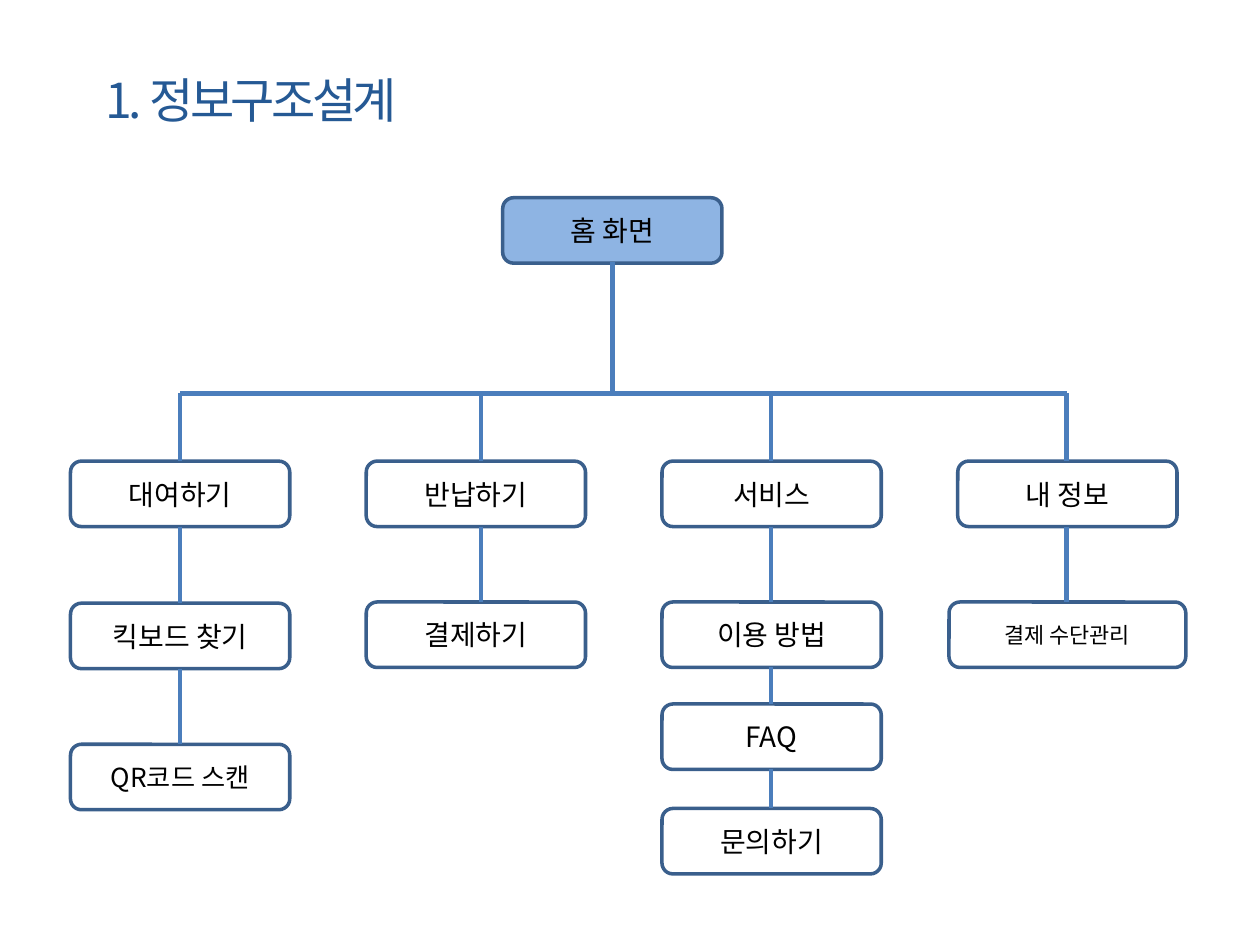
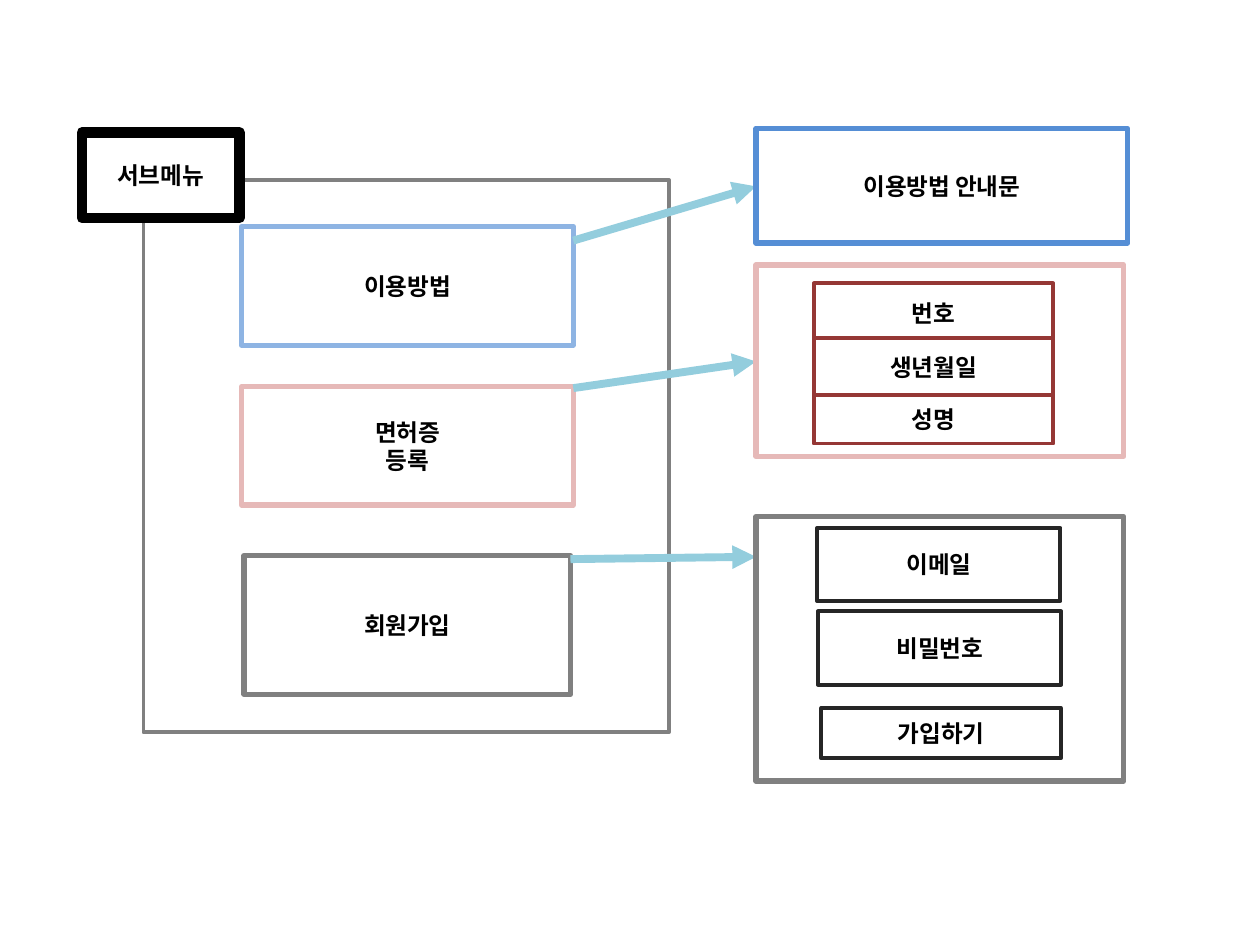
from lxml.etree import SubElement
from pptx import Presentation
from pptx.dml.color import RGBColor
from pptx.enum.shapes import MSO_CONNECTOR as Link, MSO_SHAPE as Form
from pptx.enum.text import MSO_ANCHOR as Anchor, PP_ALIGN as Align
from pptx.oxml.ns import qn
from pptx.util import Pt

FONT = "Noto Sans CJK KR"
WHITE = RGBColor(0xFF, 0xFF, 0xFF)
BLACK = RGBColor(0, 0, 0)
TITLE = RGBColor(0x25, 0x59, 0x94)
SKY = RGBColor(0x8E, 0xB4, 0xE3)
NAVY = RGBColor(0x3A, 0x5F, 0x8C)
WIRE = RGBColor(0x4B, 0x7E, 0xBC)
GRAY = RGBColor(0x80, 0x80, 0x80)
PINK = RGBColor(0xE6, 0xB9, 0xB8)
AQUA = RGBColor(0x93, 0xCD, 0xDD)
INK = RGBColor(0x26, 0x26, 0x26)
WINE = RGBColor(0x95, 0x37, 0x35)
BLUE = RGBColor(0x55, 0x8E, 0xD5)


def add_box(slide, form, area, text, edge, width, size, bold=False, fill=WHITE):
    box = slide.shapes.add_shape(form, *map(Pt, area))
    box.shadow.inherit = False
    box.fill.solid()
    box.fill.fore_color.rgb = fill
    box.line.color.rgb = edge
    box.line.width = Pt(width)
    frame = box.text_frame
    frame.word_wrap = True
    frame.vertical_anchor = Anchor.MIDDLE
    for i, part in enumerate(text.split("\n")):
        para = frame.add_paragraph() if i else frame.paragraphs[0]
        para.alignment = Align.CENTER
        if part:
            run = para.add_run()
            run.text = part
            run.font.name = FONT
            run.font.size = Pt(size)
            run.font.bold = bold
            run.font.color.rgb = BLACK
            SubElement(run.font._element, qn("a:ea"), typeface=FONT)


def add_line(slide, ends, color, width, arrow=False):
    line = slide.shapes.add_connector(Link.STRAIGHT, *map(Pt, ends))
    line.line.color.rgb = color
    line.line.width = Pt(width)
    if arrow:
        SubElement(line.line._get_or_add_ln(), qn("a:tailEnd"), type="triangle")
    SubElement(line._element.spPr, qn("a:effectLst"))


deck = Presentation()
deck.slide_width = Pt(720)
deck.slide_height = Pt(540)
blank = deck.slide_layouts[6]

tree = deck.slides.add_slide(blank)
head = tree.shapes.add_textbox(Pt(53.3), Pt(36.7), Pt(578), Pt(40.3)).text_frame
head.word_wrap = True
head.vertical_anchor = Anchor.MIDDLE
run = head.paragraphs[0].add_run()
run.text = "1. 정보구조설계"
run.font.name = FONT
run.font.size = Pt(27.5)
run.font.color.rgb = TITLE
run.font._element.set("spc", "-200")
SubElement(run.font._element, qn("a:ea"), typeface=FONT)

WIDE, HIGH, STEP = 125.3, 37.4, 169
LEFT, BUS, TOP = 40.3, 224.8, 263.5
add_box(tree, Form.ROUNDED_RECTANGLE, (287.3, 113, WIDE, HIGH), "홈 화면", NAVY, 2, 16, fill=SKY)
add_line(tree, (350, 150, 350, BUS), WIRE, 2.5)
add_line(tree, (103, BUS, 609.5, BUS), WIRE, 2.5)

branches = [
    (103, [("대여하기", TOP, 16), ("킥보드 찾기", 344.7, 16), ("QR코드 스캔", 425.3, 15)]),
    (275, [("반납하기", TOP, 16), ("결제하기", 344, 16)]),
    (440.6, [("서비스", TOP, 16), ("이용 방법", 344, 16), ("FAQ", 402.3, 16), ("문의하기", 462, 16)]),
    (609.5, [("내 정보", TOP, 16), ("결제 수단관리", 344, 12.5)]),
]
for i, (mid, nodes) in enumerate(branches):
    start = BUS
    for text, top, size in nodes:
        extra = 10 if size == 12.5 else 0
        area = (LEFT + i * STEP - extra / 2, top, WIDE + extra, HIGH)
        add_box(tree, Form.ROUNDED_RECTANGLE, area, text, NAVY, 2, size)
        add_line(tree, (mid, start, mid, top), WIRE, 2.5)
        start = top + HIGH

menu = deck.slides.add_slide(blank)
panels = [
    ((82, 103, 300.3, 315.5), "", GRAY, 2.25),
    ((46.8, 75.6, 90, 49), "서브메뉴", BLACK, 6),
    ((138.2, 129.6, 189.4, 67.7), "이용방법", SKY, 3),
    ((138.2, 221, 189.4, 67.7), "면허증\n등록", PINK, 3),
    ((139.5, 317.5, 186.5, 79.2), "회원가입", GRAY, 3),
]
details = [
    ((432, 73.4, 212.4, 65.5), "이용방법 안내문", BLUE, 3),
    ((432, 151.4, 210.2, 109.4), "", PINK, 3),
    ((465.1, 162, 136.8, 33.8), "번호", WINE, 2.25),
    ((465.1, 193, 136.8, 33.8), "생년월일", WINE, 2.25),
    ((465.1, 225.5, 136.8, 28), "성명", WINE, 2.25),
    ((432, 295.2, 210.2, 151.2), "", GRAY, 3),
    ((467, 301.7, 139, 41.8), "이메일", INK, 2.25),
    ((467.5, 349.4, 139, 41.8), "비밀번호", INK, 2.25),
    ((469.4, 404.6, 136.8, 28.8), "가입하기", INK, 2.25),
]
for area, text, edge, width in panels:
    add_box(menu, Form.RECTANGLE, area, text, edge, width, 13.5, True)
for ends in [(327.6, 137.5, 432, 106.5), (327.6, 221.8, 432, 206.6), (326, 319.5, 432, 318.2)]:
    add_line(menu, ends, AQUA, 4.5, True)
for area, text, edge, width in details:
    add_box(menu, Form.RECTANGLE, area, text, edge, width, 13.5, True)

deck.save("out.pptx")
